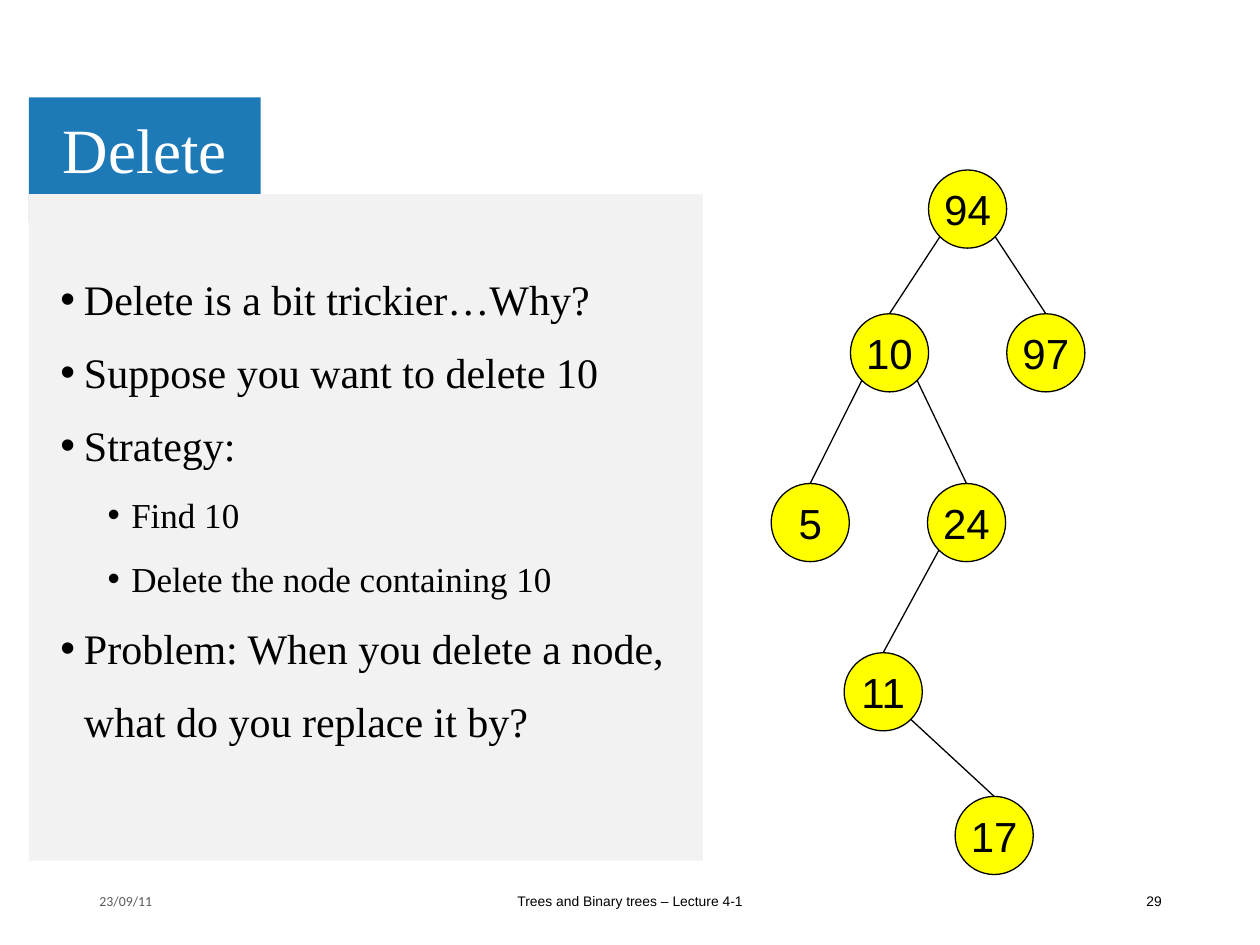
from dataclasses import dataclass
from math import sqrt

from lxml import etree
from pptx import Presentation
from pptx.dml.color import RGBColor
from pptx.enum import shapes, text
from pptx.oxml import ns
from pptx.util import Pt


@dataclass(frozen=True)
class Theme:
    blue: RGBColor = RGBColor(0x1E, 0x7A, 0xB6)
    panel: RGBColor = RGBColor(0xF2, 0xF2, 0xF2)
    yellow: RGBColor = RGBColor(0xFF, 0xFF, 0x00)
    black: RGBColor = RGBColor(0, 0, 0)
    white: RGBColor = RGBColor(0xFF, 0xFF, 0xFF)
    grey: RGBColor = RGBColor(0x59, 0x59, 0x59)
    serif: str = "Times New Roman"
    sans: str = "Arial"
    footer_sans: str = "Calibri"
    title: float = 36
    body: float = 24
    sub: float = 20
    node: float = 24
    footer: float = 7.9


theme = Theme()
align = text.PP_ALIGN


def style(paragraph, face, size, color, alignment=align.LEFT):
    paragraph.alignment = alignment
    paragraph.font.name = face
    paragraph.font.size = Pt(size)
    paragraph.font.color.rgb = color


def add_label(wording, left, top, width, height):
    """Add a wrapping, vertically centred text box and return its paragraph."""
    box = slide.shapes.add_textbox(Pt(left), Pt(top), Pt(width), Pt(height))
    box.text_frame.word_wrap = True
    box.text_frame.vertical_anchor = text.MSO_ANCHOR.MIDDLE
    paragraph = box.text_frame.paragraphs[0]
    paragraph.text = wording
    return paragraph


deck = Presentation()
deck.slide_width, deck.slide_height = Pt(720), Pt(540)
slide = deck.slides.add_slide(deck.slide_layouts[6])

# Title block and body panel
for left, top, width, height, color in (
    (16.5, 55.7, 132.5, 71.3, theme.blue),
    (16.5, 110.9, 385.2, 380.9, theme.panel),
):
    panel = slide.shapes.add_shape(
        shapes.MSO_SHAPE.RECTANGLE, Pt(left), Pt(top), Pt(width), Pt(height))
    panel.shadow.inherit = False
    panel.fill.solid()
    panel.fill.fore_color.rgb = color
    panel.line.fill.background()

title = add_label("Delete", 28.8, 59, 364.3, 56.9)
title.line_spacing = 0.9
style(title, theme.serif, theme.title, theme.white)

# Footer
for wording, left, width, face, color, alignment in (
    ("23/09/11", 49.7, 162, theme.footer_sans, theme.grey, align.LEFT),
    ("Trees and Binary trees – Lecture 4-1", 238.3, 243.4, theme.sans, theme.black, align.CENTER),
    ("29", 509, 162, theme.sans, theme.black, align.RIGHT),
):
    style(add_label(wording, left, 500.4, width, 28.8), face, theme.footer, color, alignment)

# Body: wording, level, bulleted
points = [
    ("Delete is a bit trickier…Why?", 0, True),
    ("Suppose you want to delete 10", 0, True),
    ("Strategy:", 0, True),
    ("Find 10", 1, True),
    ("Delete the node containing 10", 1, True),
    ("Problem: When you delete a node,", 0, True),
    ("what do you replace it by?", 0, False),
]
HANG = 13.5
body = slide.shapes.add_textbox(Pt(27.4), Pt(149.8), Pt(363.6), Pt(342.7)).text_frame
body.word_wrap = True
body.margin_top = Pt(6.5)
for index, (wording, level, bulleted) in enumerate(points):
    point = body.paragraphs[0] if index == 0 else body.add_paragraph()
    point.text = wording
    point.level = level
    if index:
        point.space_before = Pt(13)
    properties = point._p.get_or_add_pPr()
    properties.set("marL", str(Pt(HANG + 27 * level)))
    properties.set("indent", str(Pt(-HANG if bulleted else 0)))
    if bulleted:
        etree.SubElement(properties, ns.qn("a:buFont"), typeface=theme.sans)
        etree.SubElement(properties, ns.qn("a:buChar"), char="•")
    style(point, theme.serif, theme.sub if level else theme.body, theme.black)

# Binary search tree: centre of each node, and parent-child pairs
DIAMETER = 44.64
RADIUS = DIAMETER / 2
centres = {
    94: (552.9, 119.5),
    10: (508.3, 201.6),
    97: (597.6, 201.6),
    5: (463, 298.6),
    24: (552.3, 298.6),
    11: (504.7, 395.3),
    17: (568.1, 477.4),
}
edges = [(94, 10), (94, 97), (10, 24), (10, 5), (24, 11), (11, 17)]

for key, (x, y) in centres.items():
    node = slide.shapes.add_shape(
        shapes.MSO_SHAPE.OVAL, Pt(x - RADIUS), Pt(y - RADIUS), Pt(DIAMETER), Pt(DIAMETER))
    node.shadow.inherit = False
    node.fill.solid()
    node.fill.fore_color.rgb = theme.yellow
    node.line.color.rgb = theme.black
    node.line.width = Pt(0.75)
    node.text_frame.word_wrap = False
    node.text_frame.vertical_anchor = text.MSO_ANCHOR.MIDDLE
    number = node.text_frame.paragraphs[0]
    number.text = str(key)
    style(number, theme.sans, theme.node, theme.black, align.CENTER)

diagonal = RADIUS / sqrt(2)
for parent, child in edges:
    (parent_x, parent_y), (child_x, child_y) = centres[parent], centres[child]
    side = diagonal if child_x > parent_x else -diagonal
    edge = slide.shapes.add_connector(
        shapes.MSO_CONNECTOR.STRAIGHT,
        Pt(parent_x + side), Pt(parent_y + diagonal), Pt(child_x), Pt(child_y - RADIUS))
    edge.line.color.rgb = theme.black
    edge.line.width = Pt(0.75)
    etree.SubElement(edge._element.spPr, ns.qn("a:effectLst"))

deck.save("out.pptx")
